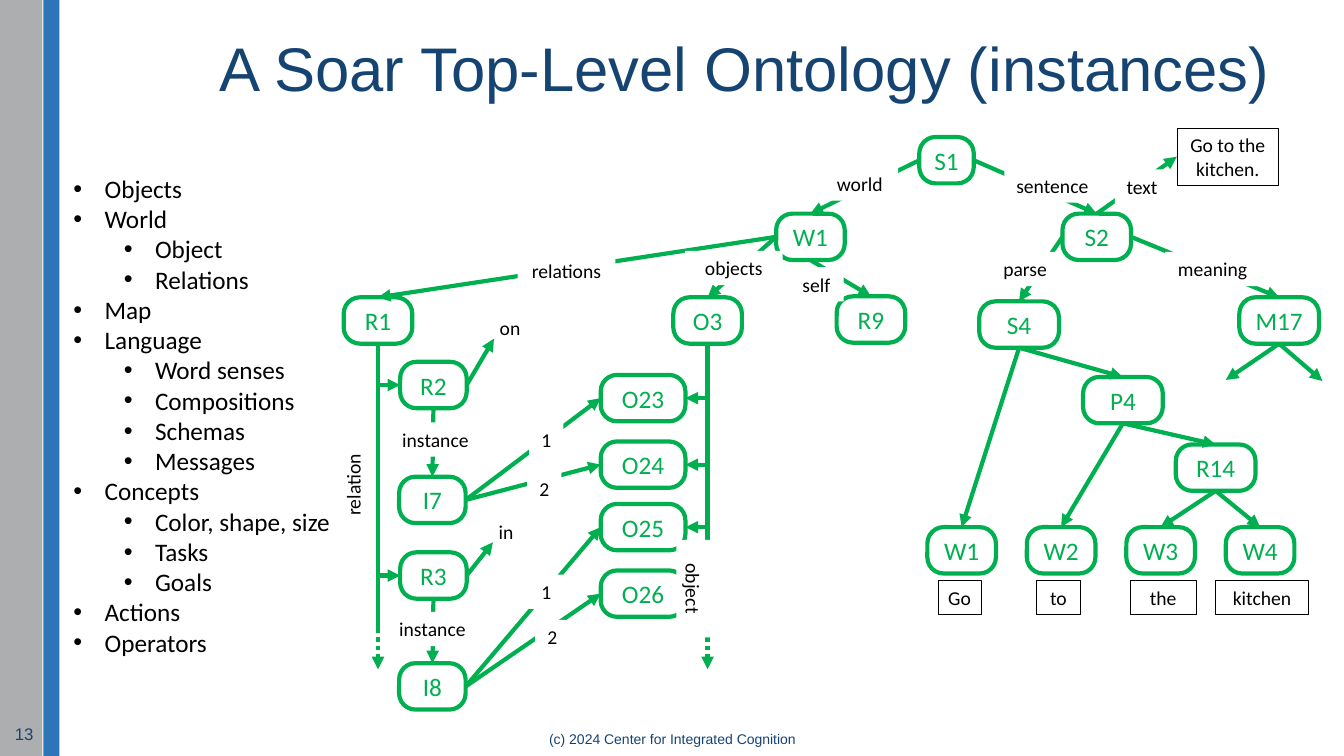
from dataclasses import dataclass

from lxml.etree import SubElement
from pptx import Presentation
from pptx.dml.color import RGBColor as Rgb
from pptx.enum.dml import MSO_LINE as Dash
from pptx.enum.shapes import MSO_CONNECTOR as Link, MSO_SHAPE as Form
from pptx.enum.text import MSO_ANCHOR as Anchor, PP_ALIGN as Align
from pptx.oxml.ns import qn
from pptx.util import Inches, Pt


@dataclass(frozen=True)
class Theme:
    green: str = "00B050"
    navy: str = "164472"
    blue: str = "2D74B9"
    gray: str = "ACAEAF"
    black: str = "000000"
    white: str = "FFFFFF"
    head: str = "Arial"
    body: str = "Calibri"
    title: int = 44
    large: int = 18
    small: int = 14
    page: int = 12
    foot: int = 10
    thick: float = 3
    thin: float = 0.5


LOOK = Theme()
CELL = 0.1  # grid step in inches, both columns and rows
WIDE, HIGH = 133.33, 75
TOP, LEFT, BASE, RIGHT = range(4)
SITES = ((0.5, 0), (0, 0.5), (0.5, 1), (1, 0.5))
TALL, LINE = 4.6, 3.4  # heights of a node and of a label

TOPICS = [
    ("Objects", 0), ("World", 0), ("Object", 1), ("Relations", 1),
    ("Map", 0), ("Language", 0), ("Word senses", 1), ("Compositions", 1),
    ("Schemas", 1), ("Messages", 1), ("Concepts", 0),
    ("Color, shape, size", 1), ("Tasks", 1), ("Goals", 1),
    ("Actions", 0), ("Operators", 0),
]
# name, centre column, top row, width
NODES = [
    ("S1", 93.9, 13.6, 5.4), ("W1", 80.4, 21.2, 6.8), ("S2", 108.8, 21.2, 6.8),
    ("R1", 37.5, 29.5, 6.8), ("O3", 70.2, 29.5, 6.8), ("R9", 86.4, 29.4, 6.8),
    ("S4", 101.1, 29.9, 7.9), ("P4", 111.4, 37.4, 7.9),
    ("R14", 120.6, 44.1, 7.9), ("M17", 126.9, 29.5, 7.9),
    ("R2", 43, 35.9, 6.6), ("I7", 42.9, 47.3, 6.6),
    ("R3", 43, 54.8, 6.6), ("I8", 42.9, 65.8, 6.6),
    ("O23", 63.8, 37.2, 8.4), ("O24", 63.8, 43.8, 8.4),
    ("O25", 63.8, 50, 8.4), ("O26", 63.8, 56.6, 8.4),
]
# word, centre column, width
WORDS = [("Go", 95.2, 4.3), ("to", 105, 4.3), ("the", 115.4, 6.6), ("kitchen", 125.2, 9.3)]
# parent, side, child, side
EDGES = [
    ("S1", LEFT, "W1", TOP), ("S1", RIGHT, "S2", TOP), ("S2", TOP, "text", LEFT),
    ("W1", LEFT, "O3", TOP), ("W1", LEFT, "R1", TOP), ("W1", BASE, "R9", TOP),
    ("S2", LEFT, "S4", TOP), ("S2", RIGHT, "M17", TOP),
    ("S4", BASE, "leaf0", TOP), ("S4", BASE, "P4", TOP),
    ("P4", BASE, "leaf1", TOP), ("P4", BASE, "R14", TOP),
    ("R14", BASE, "leaf2", TOP), ("R14", BASE, "leaf3", TOP),
    ("R2", BASE, "I7", TOP), ("R3", BASE, "I8", TOP),
    ("I7", RIGHT, "O23", LEFT), ("I7", RIGHT, "O24", LEFT),
    ("I8", RIGHT, "O25", LEFT), ("I8", RIGHT, "O26", LEFT),
]
# node, side, column and row of the tip
SPURS = [
    ("R2", RIGHT, 49, 33.6), ("R3", RIGHT, 48.9, 53.8),
    ("M17", BASE, 121.6, 37.7), ("M17", BASE, 131.2, 37.8),
]
# trunk node, its column, side of the branches, branch nodes
TRUNKS = [
    ("R1", 37.5, LEFT, ("R2", "R3")),
    ("O3", 70.2, RIGHT, ("O23", "O24", "O25", "O26")),
]
# text, centre column, top row, width, turn
ENDS = [("on", 50.6, 30.8, 4.5, 0), ("in", 50.2, 51, 4.5, 0)]
LABELS = [
    ("world", 85.3, 16.5, 7.6, 0), ("sentence", 104.4, 16.7, 9.5, 0),
    ("text", 113.3, 16.8, 5.4, 0), ("relations", 56.2, 25.2, 9.7, 0),
    ("objects", 72.8, 24.9, 9.7, 0), ("self", 81, 26.5, 5.4, 0),
    ("parse", 101.7, 25, 6.8, 0), ("meaning", 120.3, 25, 9.4, 0),
    ("instance", 43.2, 41.9, 8.7, 0), ("instance", 42.9, 60.7, 8.7, 0),
    ("1", 54.2, 41.9, 3.4, 0), ("2", 54, 46.8, 3.4, 0),
    ("1", 54.2, 57, 3.4, 0), ("2", 54.8, 61.5, 3.4, 0),
    ("relation", 35, 46.4, 9.7, 270), ("object", 68.8, 56.7, 9.7, 90),
]


def grid(*cells):
    return [Inches(cell * CELL) for cell in cells]


def style(part, size, color, face=LOOK.body, align=Align.CENTER):
    part.alignment = align
    font = part.font
    font.size, font.name = Pt(size), face
    font.color.rgb = Rgb.from_string(color)


def box(slide, form, x, y, w, h, fill=LOOK.white, line=None, weight=0):
    shape = slide.shapes.add_shape(form, *grid(x, y, w, h))
    shape.shadow.inherit = False
    shape.fill.solid()
    shape.fill.fore_color.rgb = Rgb.from_string(fill)
    if line:
        shape.line.color.rgb = Rgb.from_string(line)
        shape.line.width = Pt(weight)
    else:
        shape.line.fill.background()
    return shape


def write(shape, text, size, color, wrap=False, **kind):
    frame = shape.text_frame
    frame.word_wrap = wrap
    frame.vertical_anchor = Anchor.MIDDLE
    frame.text = text
    style(frame.paragraphs[0], size, color, **kind)
    return frame.paragraphs[0]


def node(slide, name, mid, y, w):
    shape = box(slide, Form.ROUNDED_RECTANGLE, mid - w / 2, y, w, TALL,
                line=LOOK.green, weight=LOOK.thick)
    shape.adjustments[0] = 0.35
    write(shape, name, LOOK.large, LOOK.green)
    return shape


def label(slide, text, mid, y, w, turn=0, h=LINE, line=None):
    shape = box(slide, Form.RECTANGLE, mid - w / 2, y, w, h, line=line, weight=LOOK.thin)
    shape.rotation = turn
    write(shape, text, LOOK.small, LOOK.black, wrap=h > LINE)
    return shape


def spot(end):
    """Place of an end, given as (shape, side) or as (column, row)."""
    shape, side = end
    if isinstance(shape, (int, float)):
        return grid(*end)
    across, down = SITES[side]
    return [int(shape.left + across * shape.width), int(shape.top + down * shape.height)]


def edge(slide, start, stop, arrow=True, dash=None):
    link = slide.shapes.add_connector(Link.STRAIGHT, *spot(start), *spot(stop))
    for end, join in ((start, link.begin_connect), (stop, link.end_connect)):
        if not isinstance(end[0], (int, float)):
            join(*end)
    link.line.color.rgb = Rgb.from_string(LOOK.green)
    link.line.width = Pt(LOOK.thick)
    if dash:
        link.line.dash_style = dash
    if arrow:
        SubElement(link.line._get_or_add_ln(), qn("a:tailEnd"), type="triangle")
    SubElement(link._element.spPr, qn("a:effectLst"))


def trunk(slide, nodes, name, x, side, twigs):
    for twig in twigs:
        y = nodes[twig].top / Inches(CELL) + TALL / 2
        edge(slide, (x, y), (nodes[twig], side))
    edge(slide, (nodes[name], BASE), (x, 62.4), arrow=False)
    edge(slide, (x, 62.4), (x, 66.4), dash=Dash.ROUND_DOT)


def topics(slide):
    frame = slide.shapes.add_textbox(*grid(6.3, 16.7, 28.2, 49.5)).text_frame
    frame.word_wrap = True
    for row, (text, level) in enumerate(TOPICS):
        part = frame.add_paragraph() if row else frame.paragraphs[0]
        part.text, part.level = text, level
        props = part._p.get_or_add_pPr()
        props.set("marL", str(Inches(0.31 + 0.5 * level)))
        props.set("indent", str(Inches(-0.31)))
        SubElement(props, qn("a:buFont"), typeface=LOOK.head)
        SubElement(props, qn("a:buChar"), char="•")
        style(part, LOOK.large, LOOK.black, align=Align.LEFT)


def frame(slide):
    """Side bars, title, footer and page number."""
    box(slide, Form.RECTANGLE, 0, 0, 4.2, HIGH, LOOK.gray)
    box(slide, Form.RECTANGLE, 4.3, 0, 1.6, HIGH, LOOK.blue)
    for text, place, size, align in (
        ("A Soar Top-Level Ontology (instances)", (20.8, 2.4, 107.3, 9.4), LOOK.title, Align.LEFT),
        ("(c) 2024 Center for Integrated Cognition", (44.2, 72.1, 45, 2.5), LOOK.foot, Align.CENTER),
        ("13", (0.1, 70.8, 4.2, 4), LOOK.page, Align.RIGHT),
    ):
        area = slide.shapes.add_textbox(*grid(*place))
        part = write(area, text, size, LOOK.navy, wrap=True, face=LOOK.head, align=align)
        if size == LOOK.title:
            part.line_spacing = 0.9


def graph(slide):
    nodes = {name: node(slide, name, *place) for name, *place in NODES}
    for i, (word, mid, w) in enumerate(WORDS):
        nodes[f"leaf{i}"] = node(slide, f"W{i + 1}", 95.4 + 9.87 * i, 52.3, 6.8)
        label(slide, word, mid, 57.6, w, line=LOOK.black)
    nodes["text"] = label(slide, "Go to the kitchen.", 121.8, 12.7, 10.1,
                          h=5.7, line=LOOK.black)
    for item in ENDS:
        label(slide, *item)
    for name, side, child, port in EDGES:
        edge(slide, (nodes[name], side), (nodes[child], port))
    for name, side, x, y in SPURS:
        edge(slide, (nodes[name], side), (x, y))
    for item in TRUNKS:
        trunk(slide, nodes, *item)
    for item in LABELS:
        label(slide, *item)


def main():
    deck = Presentation()
    deck.slide_width, deck.slide_height = grid(WIDE, HIGH)
    slide = deck.slides.add_slide(deck.slide_layouts[6])
    frame(slide)
    topics(slide)
    graph(slide)
    deck.save("out.pptx")


if __name__ == "__main__":
    main()
